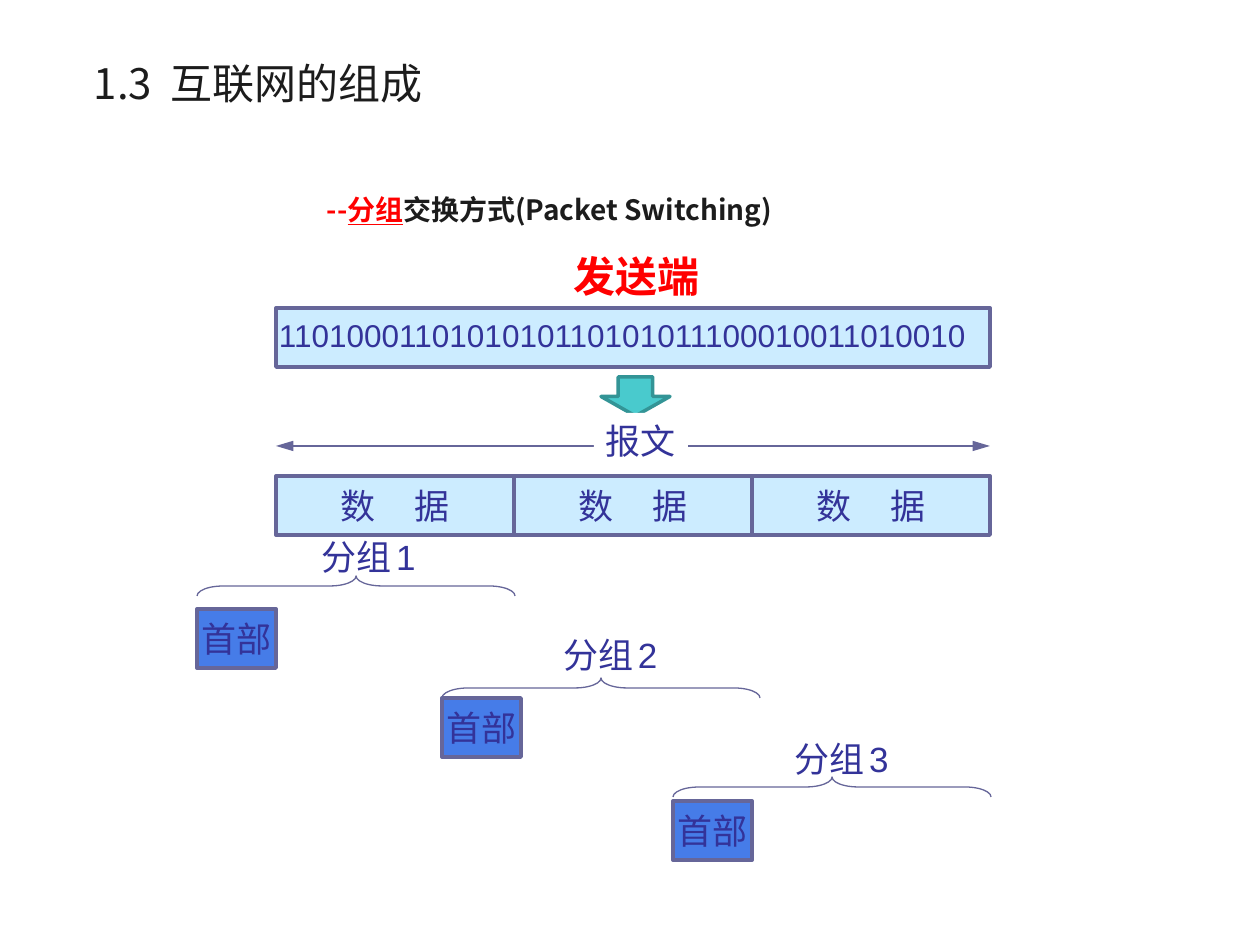
import lxml.etree
import pptx
import pptx.dml.color
import pptx.enum.lang
import pptx.enum.shapes
import pptx.enum.text
import pptx.oxml
import pptx.oxml.ns
import pptx.util

PX = 914400 // 126
SHAPES = pptx.enum.shapes.MSO_SHAPE
ALIGN = pptx.enum.text.PP_ALIGN
ANCHOR = pptx.enum.text.MSO_ANCHOR
CJK = "Noto Sans CJK SC"
INK, EDGE, RED, DARK = "333399", "666699", "FF0000", "1C1C1C"
PALE, BLUE = "CCECFF", "467CE8"


def px(*lengths):
    return [pptx.util.Emu(length * PX) for length in lengths]


def color(value):
    return pptx.dml.color.RGBColor.from_string(value)


def run(text, size=20, font="Lato", ink=INK, bold=False, underline=False, spacing=0):
    return text, size, font, ink, bold, underline, spacing


class Painter:
    def __init__(self, page):
        self.page = page

    def add_runs(self, box, runs, align, anchor, wrap, insets):
        frame = box.text_frame
        frame.word_wrap = wrap
        frame.vertical_anchor = anchor
        frame.margin_left, frame.margin_right = px(*insets)
        para = frame.paragraphs[0]
        para.alignment = align
        for text, size, font, ink, bold, underline, spacing in runs:
            span = para.add_run()
            span.text = text
            span.font.size = pptx.util.Pt(size)
            span.font.name = font
            span.font.bold = bold
            span.font.underline = underline
            span.font.color.rgb = color(ink)
            span.font.language_id = pptx.enum.lang.MSO_LANGUAGE_ID.SIMPLIFIED_CHINESE
            properties = span.font._element
            if spacing:
                properties.set("spc", str(spacing * 100))
            latin = properties.find(pptx.oxml.ns.qn("a:latin"))
            east_asian = lxml.etree.Element(pptx.oxml.ns.qn("a:ea"), typeface=CJK)
            latin.addnext(east_asian)

    def text(self, left, top, width, height, runs, align=ALIGN.LEFT,
             anchor=ANCHOR.TOP, insets=(13, 0)):
        box = self.page.shapes.add_textbox(*px(left, top, width, height))
        self.add_runs(box, runs, align, anchor, True, insets)

    def shape(self, kind, left, top, width, height, fill=None, line=None,
              weight=2.25, runs=()):
        box = self.page.shapes.add_shape(kind, *px(left, top, width, height))
        box.shadow.inherit = False
        if fill:
            box.fill.solid()
            box.fill.fore_color.rgb = color(fill)
        else:
            box.fill.background()
        if line:
            box.line.color.rgb = color(line)
            box.line.width = pptx.util.Pt(weight)
        else:
            box.line.fill.background()
        if runs:
            self.add_runs(box, runs, ALIGN.CENTER, ANCHOR.MIDDLE, False, (13, 13))
        return box

    def brace(self, left, top, length, depth):
        box = self.shape(SHAPES.LEFT_BRACE, left + (length - depth) // 2,
                         top - (length - depth) // 2, depth, length,
                         line=EDGE, weight=0.75)
        box.adjustments[0] = 1.31
        box.rotation = 90

    def double_arrow(self, left, right, y):
        arrow = self.page.shapes.add_connector(
            pptx.enum.shapes.MSO_CONNECTOR.STRAIGHT, *px(left, y, right, y))
        arrow.line.color.rgb = color(EDGE)
        arrow.line.width = pptx.util.Pt(0.75)
        properties = arrow._element.spPr
        outline = properties.find(pptx.oxml.ns.qn("a:ln"))
        for end in ("a:headEnd", "a:tailEnd"):
            lxml.etree.SubElement(outline, pptx.oxml.ns.qn(end),
                                  type="triangle", w="med", len="lg")
        lxml.etree.SubElement(properties, pptx.oxml.ns.qn("a:effectLst"))


def main():
    deck = pptx.Presentation()
    deck.slide_width, deck.slide_height = pptx.util.Inches(10), pptx.util.Inches(7.5)
    painter = Painter(deck.slides.add_slide(deck.slide_layouts[6]))

    left, cell, height = 276, 238, 59
    columns = [left + cell * index for index in range(3)]

    painter.text(20, 45, 476, 76,
                 [run("1.3", 24, CJK, DARK), run(" ", 24, CJK, DARK, spacing=5),
                  run("互联网的组成", 24, CJK, DARK)],
                 ALIGN.CENTER, ANCHOR.MIDDLE, (13, 13))
    painter.text(266, 186, 759, 79,
                 [run("--", 16, CJK, RED, True),
                  run("分组", 16, CJK, RED, True, True),
                  run("交换方式(Packet Switching)", 16, CJK, DARK, True)],
                 insets=(61, 13))
    painter.text(561, 244, 158, 63, [run("发送端", 24, "Arial", RED, True)])

    for column in columns:
        painter.shape(SHAPES.RECTANGLE, column, 308, cell, height, PALE)
        painter.shape(SHAPES.RECTANGLE, column, 476, cell, height, PALE, EDGE,
                      runs=[run("数"), run(" ", spacing=18), run("据")])
    painter.shape(SHAPES.RECTANGLE, left, 308, 3 * cell, height, line=EDGE)
    painter.text(266, 310, 726, 50,
                 [run("1101000110101010110101011100010011010010", 18, "Arial")])

    painter.shape(SHAPES.DOWN_ARROW, 601, 377, 69, 39, "49CACD", "339496", 2)
    painter.double_arrow(left, left + 3 * cell, 446)
    painter.shape(SHAPES.RECTANGLE, 594, 413, 94, 55, "FFFFFF",
                  runs=[run("报文", font="Times New Roman")])

    packets = [(197, 576, 609, 309, 529), (442, 678, 698, 551, 627),
               (673, 777, 801, 782, 731)]
    for number, (start, brace_top, header_top, label_left, label_top) in enumerate(packets, 1):
        painter.shape(SHAPES.RECTANGLE, start, header_top, 79, height, BLUE, EDGE,
                      runs=[run("首部")])
        painter.brace(start, brace_top, 318, 20)
        painter.text(label_left, label_top, 127, 55,
                     [run("分组"), run(" ", 10, "Arial"), run(str(number), font="Arial")])

    deck.save("out.pptx")


if __name__ == "__main__":
    main()
